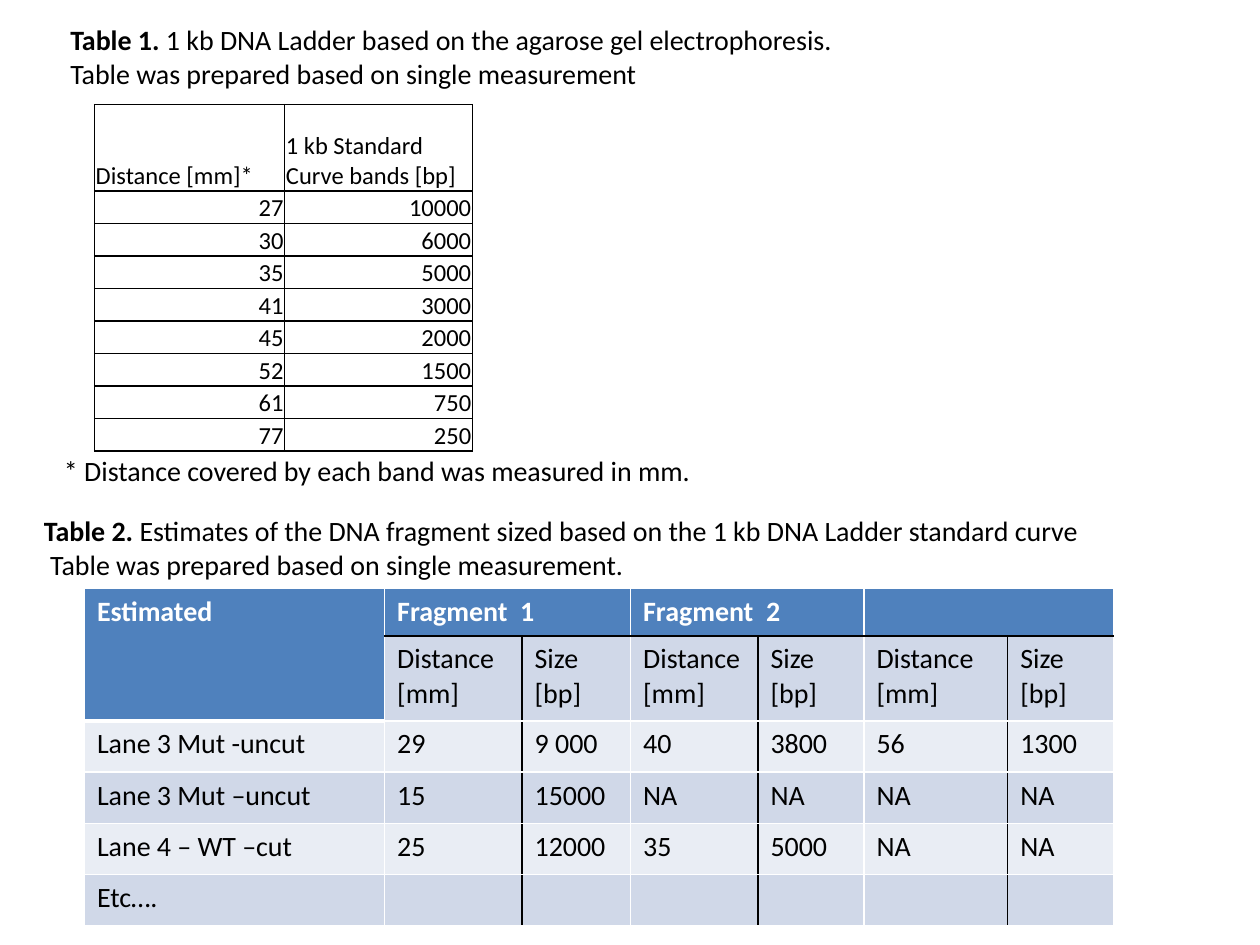
from dataclasses import dataclass

from lxml.etree import SubElement
from pptx import Presentation
from pptx.dml.color import RGBColor as Rgb
from pptx.enum.text import MSO_ANCHOR as Anchor, MSO_AUTO_SIZE as AutoSize, PP_ALIGN as Align
from pptx.oxml.ns import qn
from pptx.util import Inches, Pt

COLORS = {"text": "000000", "line": "000000", "white": "FFFFFF",
          "header": "4F81BD", "dark_band": "D0D8E8", "light_band": "E9EDF4"}
FONT = "Calibri"
UNIT = Inches(0.1)  # the slide is a grid of 100 columns by 75 rows
COLUMNS, ROWS = 100, 75

LADDER = [("Distance [mm]*", "1 kb Standard Curve bands [bp]"),
          ("27", "10000"), ("30", "6000"), ("35", "5000"), ("41", "3000"),
          ("45", "2000"), ("52", "1500"), ("61", "750"), ("77", "250")]
FRAGMENTS = [("Estimated ", "Fragment  1 ", "", "Fragment  2", "", "", ""),
             ("",) + ("Distance [mm]", "Size [bp]") * 3,
             ("Lane 3 Mut -uncut", "29", "9 000 ", "40", "3800", "56", "1300"),
             ("Lane 3 Mut –uncut", "15", "15000", "NA", "NA", "NA", "NA"),
             ("Lane 4 – WT –cut", "25", "12000", "35", "5000", "NA", "NA"),
             ("Etc….",) + ("",) * 6]


@dataclass
class Box:
    """An area of the slide, in grid columns and rows."""
    left: float
    top: float
    width: float
    height: float

    def place(self):
        """Return left, top, width and height as slide lengths."""
        return [round(n * UNIT) for n in (self.left, self.top, self.width, self.height)]


def set_font(para, size, color="text", bold=None):
    """Format a whole paragraph."""
    font = para.font
    font.name, font.size, font.bold = FONT, Pt(size), bold
    font.color.rgb = Rgb.from_string(COLORS[color])


def add_caption(page, box, lines, label="", wrap=False):
    """Place lines of text, the first led by a bold label."""
    frame = page.shapes.add_textbox(*box.place()).text_frame
    frame.word_wrap = wrap
    frame.auto_size = AutoSize.SHAPE_TO_FIT_TEXT
    for index, line in enumerate(lines):
        para = frame.add_paragraph() if index else frame.paragraphs[0]
        if label and not index:
            span = para.add_run()
            span.text, span.font.bold = label, True
        para.add_run().text = line
        set_font(para, 16)


def set_borders(cell, **sides):
    """Draw the borders L, R, T and B, each given as (colour, points)."""
    props = cell._tc.get_or_add_tcPr()
    for index, side in enumerate("LRTB"):
        color, width = sides[side]
        line = SubElement(props, qn("a:ln" + side), w=str(Pt(width)))
        fill = SubElement(line, qn("a:solidFill"))
        SubElement(fill, qn("a:srgbClr"), val=COLORS[color])
        props.insert(index, line)


def add_grid(page, box, values, widths, heights):
    """Place a plain table whose columns and rows share the box by weight."""
    frame = page.shapes.add_table(len(values), len(widths), *box.place())
    table = frame.table
    table.first_row = table.horz_banding = False
    for column, weight in zip(table.columns, widths):
        column.width = round(box.width * UNIT * weight / sum(widths))
    for row, weight in zip(table.rows, heights):
        row.height = round(box.height * UNIT * weight / sum(heights))
    for r, row in enumerate(values):
        for c, value in enumerate(row):
            table.cell(r, c).text = value
    return table


def add_ladder_table(page, box):
    """Place the table of ladder bands in black rules."""
    table = add_grid(page, box, LADDER, [1.51, 1.49], [0.69] + [0.26] * 8)
    for r, row in enumerate(table.rows):
        for cell in row.cells:
            cell.fill.background()
            cell.vertical_anchor = Anchor.BOTTOM
            cell.margin_left = cell.margin_right = cell.margin_top = Inches(0.01)
            cell.margin_bottom = 0
            para = cell.text_frame.paragraphs[0]
            para.alignment = Align.RIGHT if r else Align.LEFT
            set_font(para, 14)
            set_borders(cell, **dict.fromkeys("LRTB", ("line", 1)))


def add_fragment_table(page, box):
    """Place the banded table of fragments with its merged header."""
    table = add_grid(page, box, FRAGMENTS, [2.38, 1.09, 0.86, 1.01, 0.84, 1.14, 0.84],
                     [0.38, 0.68] + [0.41] * 4)
    white, black = ("white", 1), ("line", 1)
    for r, row in enumerate(table.rows):
        for c, cell in enumerate(row.cells):
            header = r == 0 or (r == 1 and c == 0)
            band = "header" if header else "dark_band" if r % 2 else "light_band"
            cell.fill.solid()
            cell.fill.fore_color.rgb = Rgb.from_string(COLORS[band])
            set_font(cell.text_frame.paragraphs[0], 16,
                     "white" if header else "text", header)
            sides = dict.fromkeys("LRTB", white)
            if c and r:
                sides["R" if c % 2 else "L"] = black
            if c and r < 2:
                sides["T" if r else "B"] = black
            if c == 0 and r < 2:
                sides["B"] = ("white", 3)
            set_borders(cell, **sides)
    table.cell(0, 0).merge(table.cell(1, 0))
    for c in (1, 3, 5):
        table.cell(0, c).merge(table.cell(0, c + 1))


def build():
    """Build the slide with both tables and their captions."""
    deck = Presentation()
    deck.slide_width, deck.slide_height = COLUMNS * UNIT, ROWS * UNIT
    page = deck.slides.add_slide(deck.slide_layouts[6])
    add_ladder_table(page, Box(7.5, 8.3, 30, 27.5))
    add_caption(page, Box(4.6, 1.3, 63.7, 6.4),
                ["1 kb DNA Ladder based on the agarose gel electrophoresis. ",
                 "Table was prepared based on single measurement"], "Table 1. ")
    add_caption(page, Box(4.1, 35.5, 60, 3.7),
                ["* Distance covered by each band was measured in mm. "], wrap=True)
    add_caption(page, Box(2.5, 40.3, 85.2, 6.4),
                ["Estimates of the DNA fragment sized based on the 1 kb DNA Ladder standard curve",
                 " Table was prepared based on single measurement."], "Table 2. ")
    add_fragment_table(page, Box(6.7, 46.7, 81.7, 26.8))
    deck.save("out.pptx")


build()
